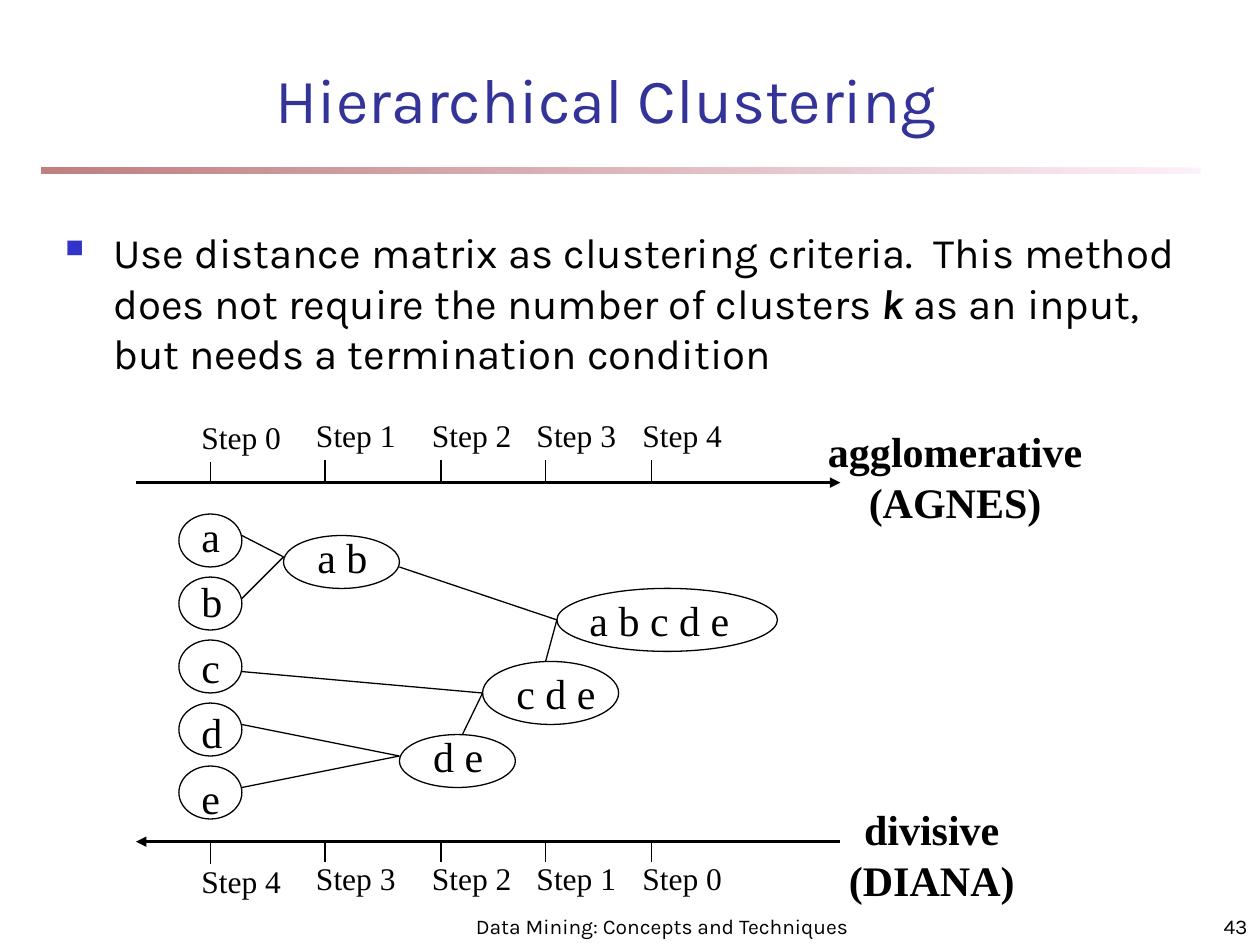
from lxml import etree
from pptx import Presentation
from pptx.dml.color import RGBColor
from pptx.enum import shapes, text
from pptx.oxml import ns
from pptx.util import Inches, Pt

colour = RGBColor.from_string
SERIF = "Times New Roman"
SANS = "Karla"
LEFT, CENTER, RIGHT = text.PP_ALIGN.LEFT, text.PP_ALIGN.CENTER, text.PP_ALIGN.RIGHT
TOP, MIDDLE, BOTTOM = text.MSO_ANCHOR.TOP, text.MSO_ANCHOR.MIDDLE, text.MSO_ANCHOR.BOTTOM

deck = Presentation()
deck.slide_width = Inches(10)
deck.slide_height = Inches(7.5)
page = deck.slides.add_slide(deck.slide_layouts[6])


def write(content, left, top, width, height, size=24, font=SERIF, ink="000000",
          bold=False, align=LEFT, anchor=TOP, wrap=True):
    box = page.shapes.add_textbox(Inches(left), Inches(top), Inches(width), Inches(height))
    frame = box.text_frame
    frame.word_wrap = wrap
    frame.vertical_anchor = anchor
    for row, line in enumerate(content.split("\n")):
        para = frame.add_paragraph() if row else frame.paragraphs[0]
        para.alignment = align
        for part, words in enumerate(line.split("*")):
            emphasis = part % 2 == 1
            span = para.add_run()
            span.text = words
            span.font.size = Pt(size)
            span.font.name = font
            span.font.bold = bold or emphasis
            span.font.italic = emphasis
            span.font.color.rgb = colour(ink)
    return frame


def connect(x1, y1, x2, y2, weight=0.75, arrow=None):
    line = page.shapes.add_connector(
        shapes.MSO_CONNECTOR.STRAIGHT, Inches(x1), Inches(y1), Inches(x2), Inches(y2))
    line.line.color.rgb = colour("000000")
    line.line.width = Pt(weight)
    if arrow:
        etree.SubElement(line.line._get_or_add_ln(), ns.qn(arrow), type="triangle")
    etree.SubElement(line._element.spPr, ns.qn("a:effectLst"))


rule = page.shapes.add_shape(
    shapes.MSO_SHAPE.RECTANGLE, Inches(0.33), Inches(1.33), Inches(9.2), Inches(0.05))
rule.shadow.inherit = False
rule.line.fill.background()
rule.fill.gradient()
rule.fill.gradient_angle = 180
for stop, shade in zip(rule.fill.gradient_stops, ["FAE2F6", "800000"]):
    stop.color.rgb = colour(shade)
for shade in rule._element.spPr.iter(ns.qn("a:srgbClr")):
    etree.SubElement(shade, ns.qn("a:alpha"), val="50000")

write("Hierarchical Clustering", 0.82, 0.54, 7.98, 0.48, size=36, font=SANS,
      ink="333399", align=CENTER, anchor=MIDDLE)

body = write("Use distance matrix as clustering criteria.  This method does not require "
             "the number of clusters *k* as an input, but needs a termination condition",
             0.42, 1.75, 9.08, 5.33, font=SANS)
bullet = body.paragraphs[0]._p.get_or_add_pPr()
bullet.set("marL", str(Inches(0.38)))
bullet.set("indent", str(-Inches(0.38)))
bullet_colour = etree.SubElement(bullet, ns.qn("a:buClr"))
etree.SubElement(bullet_colour, ns.qn("a:srgbClr"), val="3333CC")
etree.SubElement(bullet, ns.qn("a:buSzPct"), val="60000")
etree.SubElement(bullet, ns.qn("a:buChar"), char="■")

connect(1.08, 3.83, 6.67, 3.83, weight=1.5, arrow="a:tailEnd")
connect(1.08, 6.68, 6.67, 6.68, weight=1.5, arrow="a:headEnd")
for step, x in enumerate([1.67, 2.58, 3.5, 4.33, 5.17]):
    drop = 0 if step else 0.02
    for number, tick, label in [(step, 3.65, 3.25), (4 - step, 6.67, 6.77)]:
        connect(x, tick + drop, x, tick + drop + 0.17)
        write(f"Step {number}", x - 0.17, label + drop, 0.83, 0.4, size=18)

clusters = [
    ("a b", 2.25, 4.25, 0.92, 0.42, 2.42, 4.17, 0.6),
    ("d e", 3.17, 5.83, 0.92, 0.42, 3.34, 5.75, 0.6),
    ("c d e", 3.83, 5.25, 1.08, 0.5, 4, 5.25, 0.83),
    ("a b c d e", 4.42, 4.67, 1.75, 0.5, 4.58, 4.67, 1.31),
]
for row, letter in enumerate("abcde"):
    clusters.append((letter, 1.42, 4.08 + row * 0.5, 0.5, 0.42, 1.5, 4 + row * 0.52, 0.35))
for name, left, top, width, height, text_left, text_top, text_width in clusters:
    write(name, text_left, text_top, text_width, 0.5, wrap=False)
    oval = page.shapes.add_shape(
        shapes.MSO_SHAPE.OVAL, Inches(left), Inches(top), Inches(width), Inches(height))
    oval.shadow.inherit = False
    oval.fill.background()
    oval.line.color.rgb = colour("000000")
    oval.line.width = Pt(0.75)

for branch in [
    (1.92, 4.25, 2.25, 4.42), (1.92, 4.75, 2.25, 4.42),
    (1.92, 5.75, 3.17, 6), (1.92, 6.25, 3.17, 6),
    (1.92, 5.33, 3.83, 5.5), (3.67, 5.83, 3.83, 5.5),
    (3.17, 4.5, 4.42, 4.92), (4.33, 5.25, 4.42, 4.92),
]:
    connect(*branch)

write("agglomerative\n(AGNES)", 6.42, 3.33, 2.32, 0.9, bold=True, align=CENTER, wrap=False)
write("divisive\n(DIANA)", 6.59, 6.33, 1.61, 0.9, bold=True, align=CENTER, wrap=False)
write("Data Mining: Concepts and Techniques", 3.67, 7.08, 3.17, 0.42, size=12, font=SANS,
      align=CENTER, anchor=BOTTOM)
write("43", 7.92, 7.08, 2.08, 0.42, size=12, font=SANS, align=RIGHT, anchor=BOTTOM)

deck.save("out.pptx")
